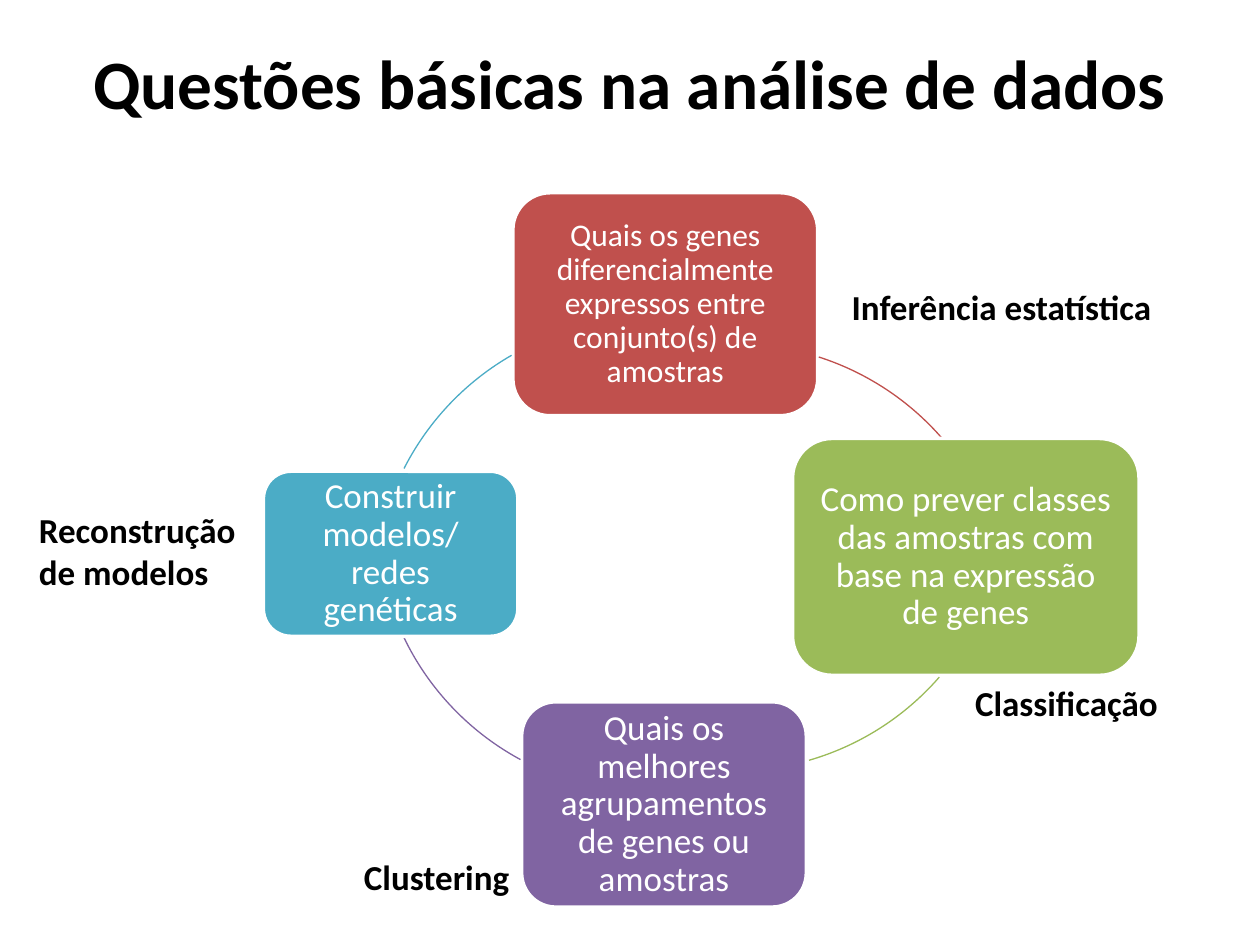
import math

from pptx import Presentation
from pptx.dml.color import RGBColor
from pptx.enum.shapes import MSO_SHAPE
from pptx.enum.text import MSO_ANCHOR, MSO_AUTO_SIZE, PP_ALIGN
from pptx.util import Inches, Pt

ROUNDED, ARC = MSO_SHAPE.ROUNDED_RECTANGLE, MSO_SHAPE.ARC
MIDDLE, TOP = MSO_ANCHOR.MIDDLE, MSO_ANCHOR.TOP
CENTER, LEFT = PP_ALIGN.CENTER, PP_ALIGN.LEFT
FIT_SHAPE, NO_FIT = MSO_AUTO_SIZE.SHAPE_TO_FIT_TEXT, MSO_AUTO_SIZE.NONE

BLACK = RGBColor(0x00, 0x00, 0x00)
WHITE = RGBColor(0xFF, 0xFF, 0xFF)
RED = RGBColor(0xC0, 0x50, 0x4D)
GREEN = RGBColor(0x9B, 0xBB, 0x59)
PURPLE = RGBColor(0x80, 0x64, 0xA2)
BLUE = RGBColor(0x4B, 0xAC, 0xC6)


class CycleSlide:
    font_name = "Calibri"
    arc_diameter = 4.35

    def __init__(self, slide):
        self.slide = slide

    def add_text(self, frame, text, size, color, bold=False, align=LEFT):
        paragraph = frame.paragraphs[0]
        paragraph.alignment = align
        run = paragraph.add_run()
        run.text = text
        run.font.name = self.font_name
        run.font.size = Pt(size)
        run.font.bold = bold
        run.font.color.rgb = color
        return paragraph

    def text_box(self, box, text, size, align=LEFT, anchor=TOP, wrap=True, fit=FIT_SHAPE):
        frame = self.slide.shapes.add_textbox(*map(Inches, box)).text_frame
        frame.word_wrap = wrap
        frame.auto_size = fit
        frame.vertical_anchor = anchor
        self.add_text(frame, text, size, BLACK, True, align)

    def node(self, box, text, color, size, inset):
        shape = self.slide.shapes.add_shape(ROUNDED, *map(Inches, box))
        shape.shadow.inherit = False
        shape.fill.solid()
        shape.fill.fore_color.rgb = color
        shape.line.color.rgb = WHITE
        shape.line.width = Pt(2)
        frame = shape.text_frame
        frame.word_wrap = True
        frame.vertical_anchor = MIDDLE
        frame.margin_left = frame.margin_right = Inches(inset)
        frame.margin_top = frame.margin_bottom = Inches(inset)
        paragraph = self.add_text(frame, text, size, WHITE, align=CENTER)
        paragraph.line_spacing = 0.9

    def arc(self, left, top, start, end, color):
        """Draw the clockwise part of a circle from start to end."""
        diameter = Inches(self.arc_diameter)
        shape = self.slide.shapes.add_shape(ARC, Inches(left), Inches(top), diameter, diameter)
        shape.shadow.inherit = False
        shape.fill.background()
        shape.line.color.rgb = color
        shape.line.width = Pt(0.75)
        radius = self.arc_diameter / 2
        for index, (x, y) in enumerate((start, end)):
            angle = math.degrees(math.atan2(y - top - radius, x - left - radius)) % 360
            shape.adjustments[index] = angle * 0.6  # 60000 units a degree, over 100000


def main():
    presentation = Presentation()
    presentation.slide_width, presentation.slide_height = Inches(10), Inches(7.5)
    page = CycleSlide(presentation.slides.add_slide(presentation.slide_layouts[6]))

    # Title
    page.text_box((0.5, 0.02, 9, 1.25), "Questões básicas na análise de dados", 39.6,
                  CENTER, MIDDLE, fit=NO_FIT)

    # Questions of the cycle, clockwise from the top
    nodes = [
        ((4.07, 1.53, 2.42, 1.77),
         "Quais os genes diferencialmente expressos entre conjunto(s) de amostras", RED, 18, 0.07),
        ((6.29, 3.48, 2.75, 1.88),
         "Como prever classes das amostras com base na expressão de genes", GREEN, 20, 0.08),
        ((4.14, 5.57, 2.26, 1.63),
         "Quais os melhores agrupamentos de genes ou amostras", PURPLE, 20, 0.08),
        ((2.09, 3.74, 2.02, 1.31), "Construir modelos/ redes genéticas", BLUE, 20, 0.08),
    ]
    # Arc that leaves each question
    arcs = [
        (3.66, 2.73, (6.5, 2.83), (7.48, 3.48)),
        (3.64, 1.77, (7.45, 5.37), (6.42, 6.03)),
        (2.99, 1.94, (4.13, 6.03), (3.21, 5.06)),
        (2.97, 2.53, (3.21, 3.72), (4.06, 2.82)),
    ]
    for node, arc in zip(nodes, arcs):
        page.node(*node)
        page.arc(*arc, color=node[2])

    # Name of the method beside each question
    for box, text, wrap in [
        ((6.66, 2.22, 2.62, 0.44), "Inferência estatística", False),
        ((2.79, 6.74, 1.37, 0.44), "Clustering", False),
        ((7.64, 5.36, 1.67, 0.44), "Classificação", False),
        ((0.21, 3.99, 1.88, 0.77), "Reconstrução de modelos", True),
    ]:
        page.text_box(box, text, 20, wrap=wrap)

    presentation.save("out.pptx")


if __name__ == "__main__":
    main()
